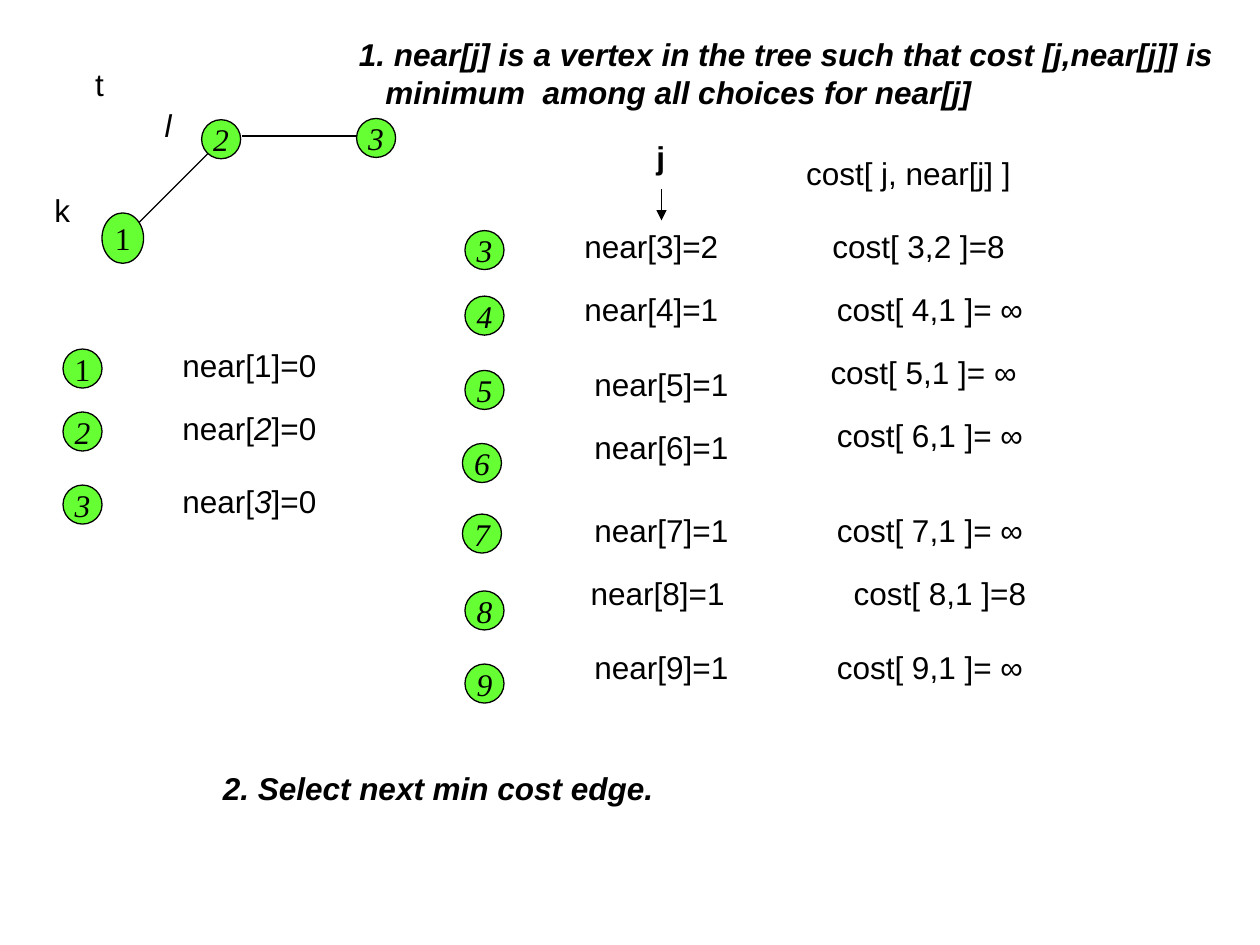
from lxml.etree import SubElement
from pptx import Presentation
from pptx.dml.color import RGBColor
from pptx.enum.shapes import MSO_CONNECTOR, MSO_SHAPE
from pptx.enum.text import MSO_ANCHOR, PP_ALIGN
from pptx.oxml.ns import qn
from pptx.util import Inches, Pt

COLORS = {"ink": "000000", "paper": "FFFFFF", "vertex": "66FF33"}
VERTEX_SIZE = 0.31
LABEL_HEIGHT = 0.25
NEAR_WIDTH = 1
COST_WIDTH = 1.92


class SlideBuilder:
    label_font = "Arial"
    vertex_font = "Times New Roman"
    font_size = Pt(18)
    line_width = Pt(0.75)

    def __init__(self, slide):
        self.slide = slide

    def color(self, name):
        return RGBColor.from_string(COLORS[name])

    def box(self, kind, left, top, width, height, fill, line):
        shape = self.slide.shapes.add_shape(
            kind, Inches(left), Inches(top), Inches(width), Inches(height))
        shape.shadow.inherit = False
        shape.fill.solid()
        shape.fill.fore_color.rgb = self.color(fill)
        shape.line.color.rgb = self.color(line)
        shape.line.width = self.line_width
        shape.text_frame.word_wrap = False
        shape.text_frame.vertical_anchor = MSO_ANCHOR.MIDDLE
        return shape

    def style(self, paragraph, name, bold=False, italic=None, align=PP_ALIGN.CENTER):
        paragraph.alignment = align
        font = paragraph.font
        font.name = name
        font.size = self.font_size
        font.bold = bold
        font.italic = italic
        font.color.rgb = self.color("ink")

    def vertex(self, number, left, top, width=VERTEX_SIZE, height=VERTEX_SIZE):
        shape = self.box(MSO_SHAPE.OVAL, left, top, width, height, "vertex", "ink")
        paragraph = shape.text_frame.paragraphs[0]
        paragraph.text = str(number)
        self.style(paragraph, self.vertex_font, italic=number != 1)

    def label(self, text, left, top, width, height=LABEL_HEIGHT, bold=False, italic=False):
        shape = self.box(MSO_SHAPE.RECTANGLE, left, top, width, height, "paper", "paper")
        paragraph = shape.text_frame.paragraphs[0]
        paragraph.text = text
        self.style(paragraph, self.label_font, bold, italic)

    def mixed_label(self, parts, left, top, width):
        shape = self.box(MSO_SHAPE.RECTANGLE, left, top, width, LABEL_HEIGHT, "paper", "paper")
        paragraph = shape.text_frame.paragraphs[0]
        self.style(paragraph, self.label_font)
        for text, italic in parts:
            run = paragraph.add_run()
            run.text = text
            run.font.italic = italic

    def step(self, lines, left, top):
        shape = self.box(MSO_SHAPE.RECTANGLE, left, top, 6.5, 0.5, "paper", "paper")
        frame = shape.text_frame
        frame.text = "\n".join(lines)
        for paragraph in frame.paragraphs:
            self.style(paragraph, self.label_font, True, True, PP_ALIGN.LEFT)
        for paragraph in frame.paragraphs[1:]:
            paragraph._p.get_or_add_pPr().set("marL", str(Inches(0.21)))

    def line(self, start, end, arrow=False):
        connector = self.slide.shapes.add_connector(
            MSO_CONNECTOR.STRAIGHT, *(Inches(value) for value in start + end))
        connector.line.color.rgb = self.color("ink")
        connector.line.width = self.line_width
        if arrow:
            SubElement(connector.line._get_or_add_ln(), qn("a:tailEnd"), type="triangle")
        SubElement(connector._element.spPr, qn("a:effectLst"))


def main():
    presentation = Presentation()
    presentation.slide_width = Inches(10)
    presentation.slide_height = Inches(7.5)
    builder = SlideBuilder(presentation.slides.add_slide(presentation.slide_layouts[6]))

    builder.step(["1. near[j] is a vertex in the tree such that cost [j,near[j]] is",
                  "minimum  among all choices for near[j]"], 2.75, 0.33)
    builder.step(["2. Select next min cost edge."], 1.67, 6)

    builder.line((1.08, 1.79), (1.65, 1.22))
    builder.vertex(1, 0.81, 1.69, 0.33, 0.4)
    builder.vertex(2, 1.6, 0.95)
    builder.vertex(3, 2.83, 0.94)
    builder.line((1.92, 1.08), (2.83, 1.08))
    builder.label("t", 0.58, 0.5, 0.42, 0.33)
    builder.label("k", 0.33, 1.5, 0.33, 0.33)
    builder.label("l", 1.17, 0.83, 0.33, 0.33, italic=True)

    for number, top in [(1, 2.77), (2, 3.27), (3, 3.85)]:
        builder.vertex(number, 0.5, top)
        parts = [("near[", False), (str(number), number != 1), ("]=0", False)]
        builder.mixed_label(parts, 1.48, top, NEAR_WIDTH)

    builder.label("j", 5.08, 1.08, 0.33, 0.33, bold=True)
    builder.line((5.25, 1.5), (5.25, 1.75), arrow=True)
    builder.label("cost[ j, near[j] ]", 6.25, 1.25, COST_WIDTH)

    candidates = [
        (3, 2, "8", (3.69, 1.83), (4.67, 1.83), (6.33, 1.83)),
        (4, 1, " ∞", (3.69, 2.35), (4.67, 2.33), (6.42, 2.33)),
        (5, 1, " ∞", (3.69, 2.94), (4.75, 2.92), (6.37, 2.83)),
        (6, 1, " ∞", (3.67, 3.52), (4.75, 3.42), (6.42, 3.33)),
        (7, 1, " ∞", (3.67, 4.08), (4.75, 4.08), (6.42, 4.08)),
        (8, 1, "8", (3.69, 4.69), (4.72, 4.58), (6.5, 4.58)),
        (9, 1, " ∞", (3.69, 5.27), (4.75, 5.17), (6.42, 5.17)),
    ]
    for number, near, cost, vertex_at, near_at, cost_at in candidates:
        builder.vertex(number, *vertex_at)
        builder.label(f"near[{number}]={near}", *near_at, NEAR_WIDTH)
        builder.label(f"cost[ {number},{near} ]={cost}", *cost_at, COST_WIDTH)

    presentation.save("out.pptx")


if __name__ == "__main__":
    main()
